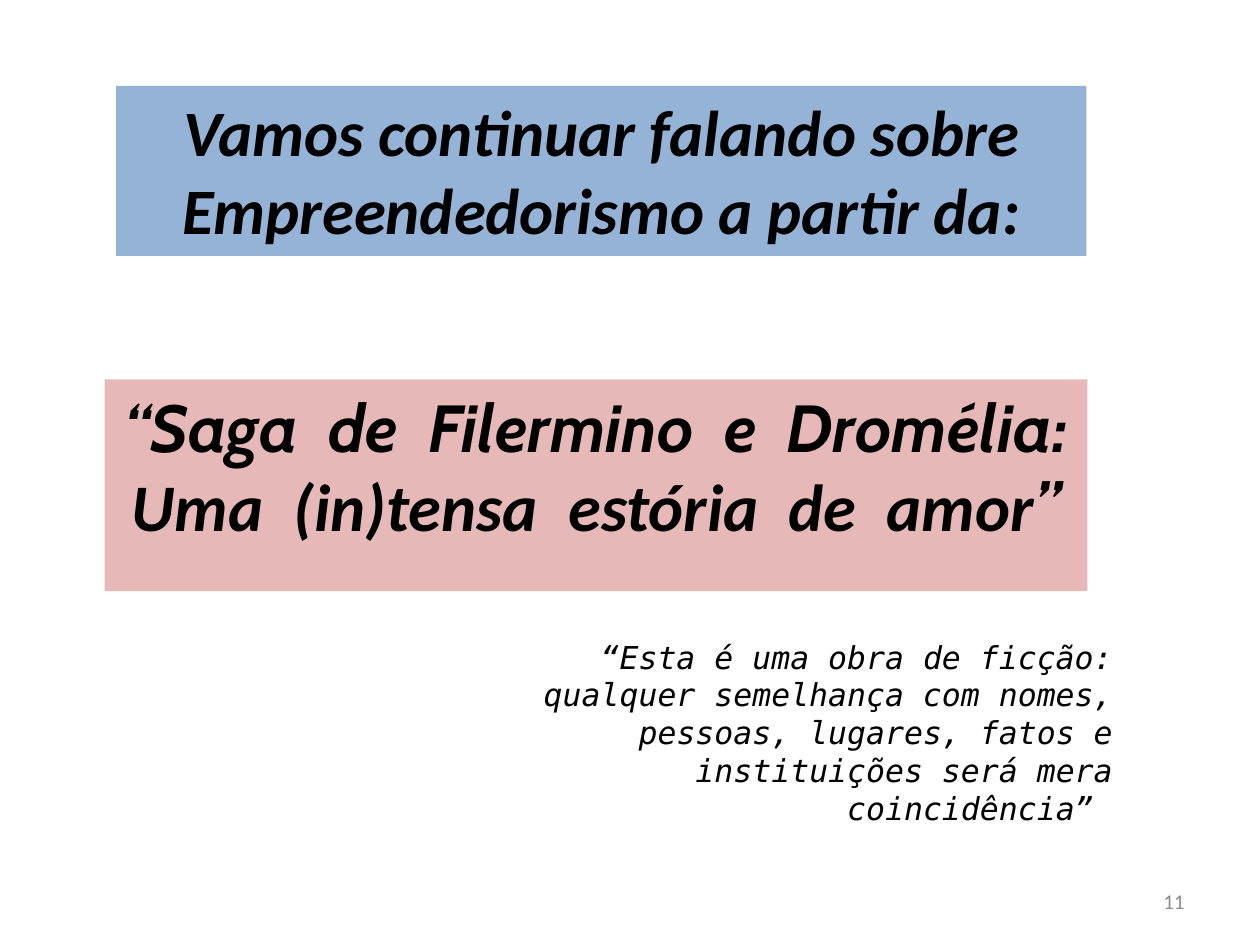
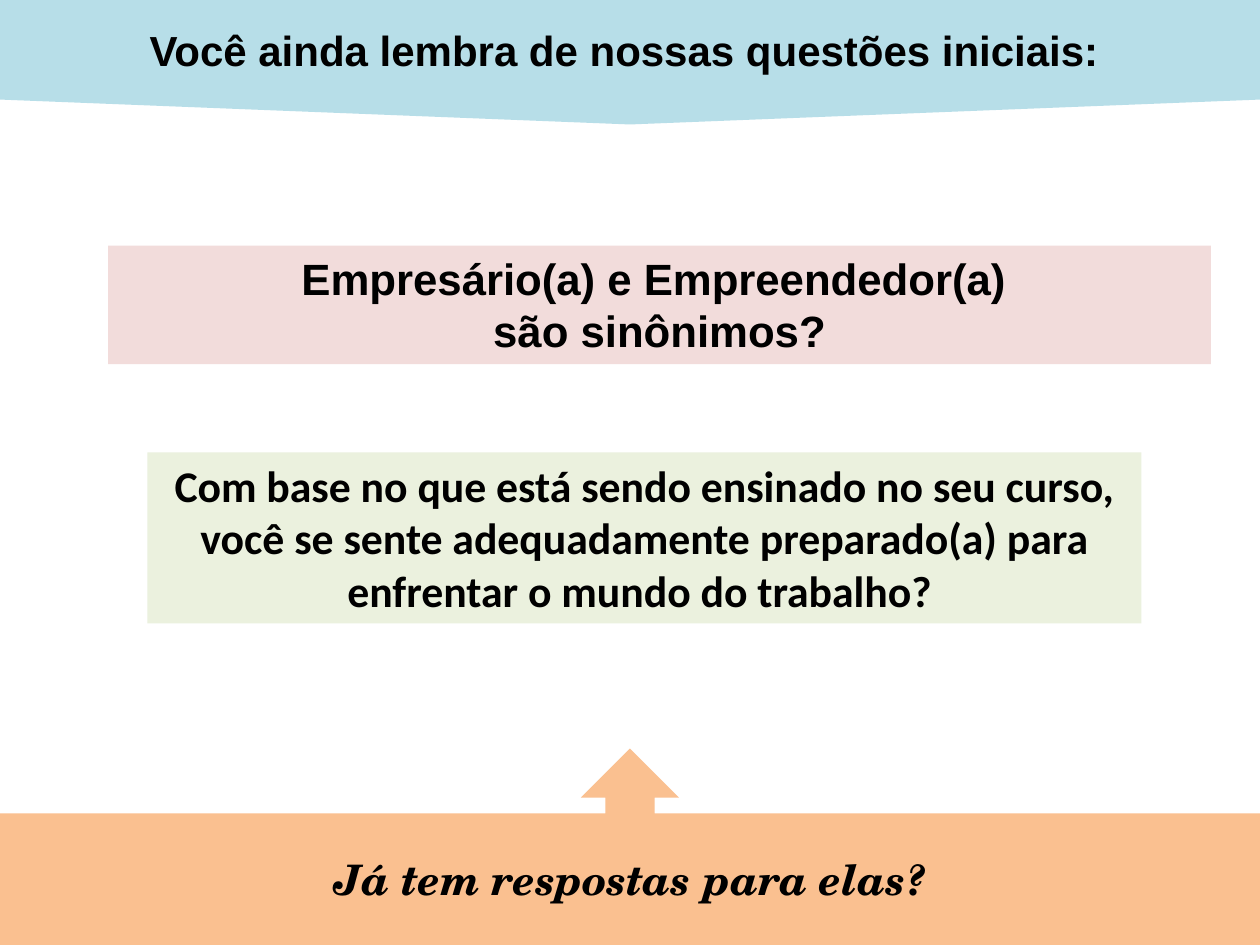
from dataclasses import dataclass
from typing import Optional

import pptx
import pptx.dml.color
import pptx.enum.shapes
import pptx.enum.text
import pptx.util

Cm = pptx.util.Cm
Preset = pptx.enum.shapes.MSO_SHAPE
Align = pptx.enum.text.PP_ALIGN
Anchor = pptx.enum.text.MSO_ANCHOR


# Shared colours, fonts and type sizes
@dataclass(frozen=True)
class Theme:
    ink: str = "000000"
    muted: str = "8C8C8C"
    blue: str = "95B3D7"
    rose: str = "E6B9B8"
    pale_rose: str = "F2DCDB"
    pale_green: str = "EBF1DE"
    aqua: str = "B7DEE8"
    orange: str = "FAC090"
    body: str = "Calibri"
    heading: str = "Arial"
    saga: str = "Cabin"
    quote: str = "DejaVu Sans Mono"
    closing: str = "TeX Gyre Schola"
    saga_size: int = 38
    intro_size: int = 37
    question_size: int = 25
    band_size: int = 24
    quote_size: int = 18
    number_size: int = 12


THEME = Theme()
SLIDE_WIDTH, SLIDE_HEIGHT = 25.4, 19.05
CALLOUT_TOP = 15.09


@dataclass(frozen=True)
class Span:
    text: str
    font: str
    size: int
    bold: bool = True
    italic: bool = False
    color: str = THEME.ink
    word_gap: float = 0  # extra points after every space


@dataclass(frozen=True)
class Panel:
    """A block of text, placed in centimetres, filled or plain."""
    left: float
    top: float
    width: float
    height: float
    lines: tuple[tuple[Span, ...], ...]
    fill: Optional[str] = None
    preset: Preset = Preset.RECTANGLE
    align: Align = Align.CENTER
    anchor: Anchor = Anchor.TOP
    adjustments: tuple[float, ...] = ()


def add_run(paragraph, span: Span, text: str, gap: float = 0) -> None:
    run = paragraph.add_run()
    run.text = text
    run.font.name = span.font
    run.font.size = pptx.util.Pt(span.size)
    run.font.bold = span.bold
    run.font.italic = span.italic
    run.font.color.rgb = pptx.dml.color.RGBColor.from_string(span.color)
    if gap:
        run._r.get_or_add_rPr().set("spc", str(round(gap * 100)))


def add_span(paragraph, span: Span) -> None:
    if not span.word_gap:
        add_run(paragraph, span, span.text)
        return
    for index, word in enumerate(span.text.split(" ")):
        if index:
            add_run(paragraph, span, " ", span.word_gap)
        if word:
            add_run(paragraph, span, word)


def add_panel(slide, panel: Panel) -> None:
    place = [Cm(v) for v in (panel.left, panel.top, panel.width, panel.height)]
    if panel.fill is None:
        shape = slide.shapes.add_textbox(*place)
    else:
        shape = slide.shapes.add_shape(panel.preset, *place)
        shape.shadow.inherit = False
        shape.fill.solid()
        shape.fill.fore_color.rgb = pptx.dml.color.RGBColor.from_string(panel.fill)
        shape.line.fill.background()
        for index, value in enumerate(panel.adjustments):
            shape.adjustments[index] = value
    frame = shape.text_frame
    frame.word_wrap = True
    frame.vertical_anchor = panel.anchor
    for index, line in enumerate(panel.lines):
        paragraph = frame.add_paragraph() if index else frame.paragraphs[0]
        paragraph.alignment = panel.align
        for span in line:
            add_span(paragraph, span)


def saga_span(text: str, font: str, size: int = THEME.saga_size) -> Span:
    return Span(text, font, size, italic=True, word_gap=8.6)


def question(text: str, font: str) -> tuple[Span, ...]:
    return (Span(text, font, THEME.question_size),)


# Slide 1: introduction to the saga
INTRO = Panel(2.34, 1.73, 19.56, 3.43, ((
    Span("Vamos continuar falando sobre Empreendedorismo a partir da:",
         THEME.body, THEME.intro_size, italic=True),),), THEME.blue)
SAGA = Panel(2.11, 7.65, 19.81, 4.27, (
    (saga_span("“", THEME.saga, THEME.intro_size),
     saga_span("Saga de Filermino e Dromélia:", THEME.saga)),
    (saga_span("Uma (in)tensa estória de amor", THEME.body),
     saga_span("”", THEME.saga)),
), THEME.rose)
DISCLAIMER = Panel(9.09, 12.73, 13.59, 3.33, ((
    Span("“Esta é uma obra de ficção: qualquer semelhança com nomes, pessoas, "
         "lugares, fatos e instituições será mera coincidência” ",
         THEME.quote, THEME.quote_size, bold=False, italic=True),),),
    align=Align.RIGHT)
PAGE_NUMBER = Panel(18.21, 17.65, 5.92, 1.02, ((
    Span("11", THEME.body, THEME.number_size, bold=False, color=THEME.muted),),),
    align=Align.RIGHT, anchor=Anchor.MIDDLE)

# Slide 2: the opening questions
SYNONYMS = Panel(2.18, 4.95, 22.23, 2.39, (
    question("Empresário(a) e Empreendedor(a) ", THEME.heading),
    question("são sinônimos?", THEME.heading),
), THEME.pale_rose)
PREPARED = Panel(2.97, 9.12, 20.04, 3.45, (
    question("Com base no que está sendo ensinado no seu curso, você se sente "
             "adequadamente preparado(a) para enfrentar o mundo do trabalho? ",
             THEME.body),), THEME.pale_green)
REMINDER = Panel(0, 0, SLIDE_WIDTH, 2.51, ((
    Span("Você ainda lembra de nossas questões iniciais: ",
         THEME.heading, THEME.band_size),),),
    THEME.aqua, Preset.FLOWCHART_OFFPAGE_CONNECTOR, anchor=Anchor.MIDDLE)
ANSWERS = Panel(0, CALLOUT_TOP, SLIDE_WIDTH, SLIDE_HEIGHT - CALLOUT_TOP, ((
    Span("Já tem respostas para elas?",
         THEME.closing, THEME.band_size, italic=True),),),
    THEME.orange, Preset.UP_ARROW_CALLOUT, anchor=Anchor.MIDDLE,
    adjustments=(0.25, 0.25, 0.25, 0.67))

SLIDES = (
    (INTRO, SAGA, DISCLAIMER, PAGE_NUMBER),
    (SYNONYMS, PREPARED, REMINDER, ANSWERS),
)


def main() -> None:
    deck = pptx.Presentation()
    deck.slide_width, deck.slide_height = Cm(SLIDE_WIDTH), Cm(SLIDE_HEIGHT)
    for panels in SLIDES:
        slide = deck.slides.add_slide(deck.slide_layouts[6])
        for panel in panels:
            add_panel(slide, panel)
    deck.save("out.pptx")


if __name__ == "__main__":
    main()
